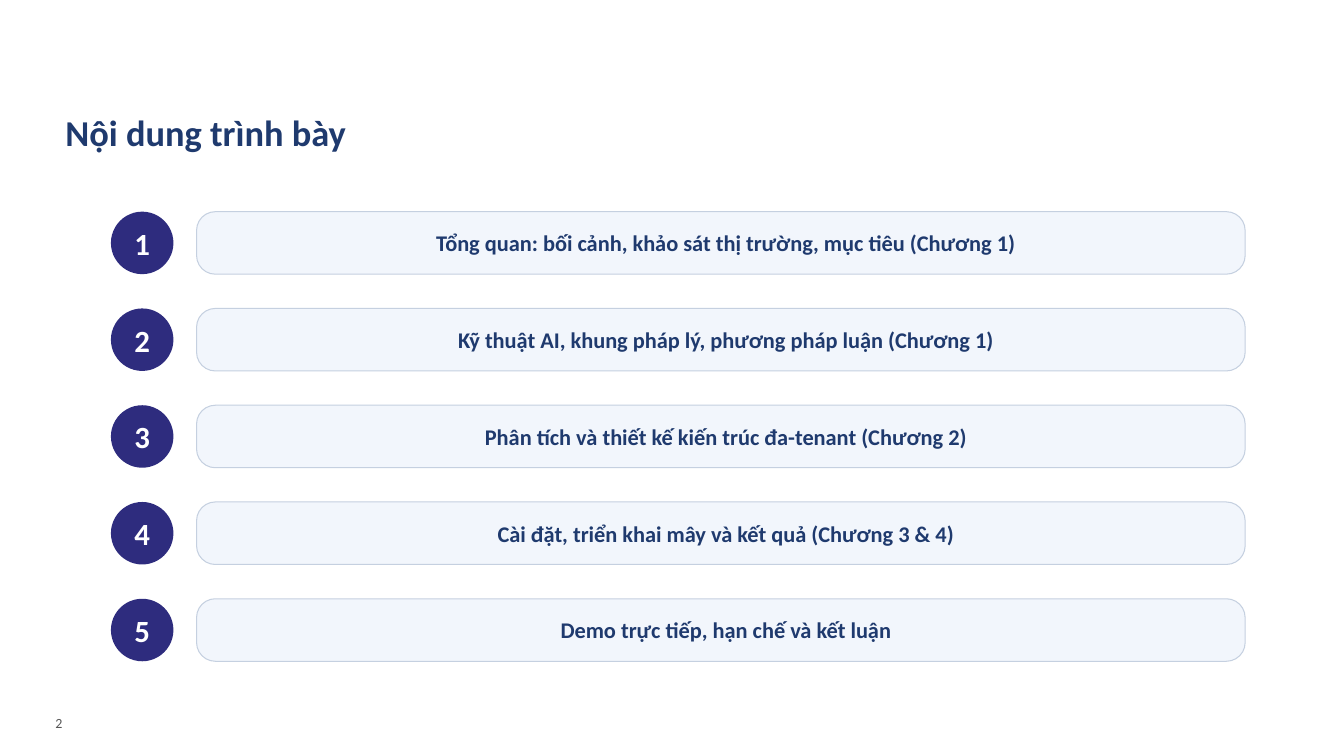
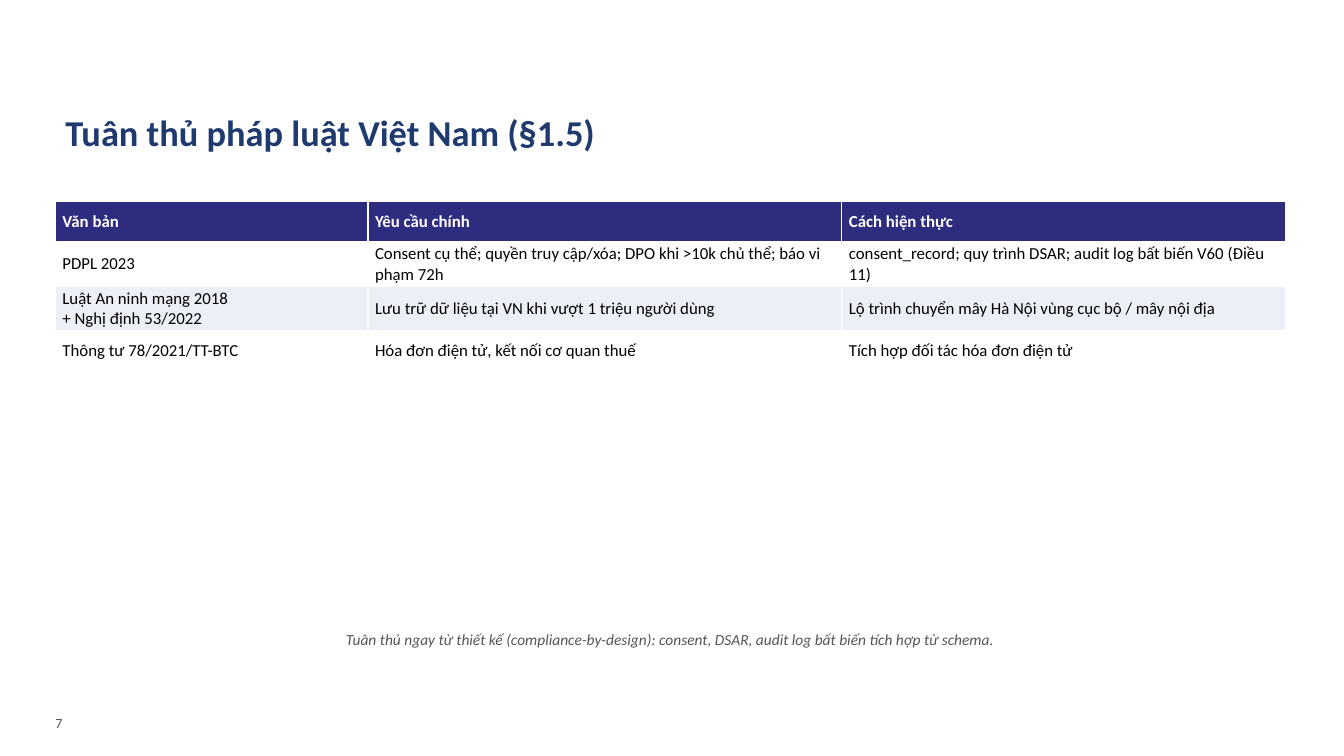
from pptx import Presentation
from pptx.dml.color import RGBColor
from pptx.enum.shapes import MSO_SHAPE
from pptx.enum.text import MSO_ANCHOR, MSO_AUTO_SIZE, PP_ALIGN
from pptx.util import Emu, Pt

EMU_PER_PX = 9144  # 100 px to the inch
FONT = "Calibri"
COLORS = {
    "white": "FFFFFF",
    "black": "000000",
    "navy": "1F3A6E",
    "indigo": "2E2C7E",
    "gray": "555555",
    "panel": "F2F6FC",
    "panel_line": "C5D0E0",
    "band": "ECEFF6",
}


def px(length):
    return Emu(length * EMU_PER_PX)


def color(name):
    return RGBColor.from_string(COLORS[name])


def write_text(frame, text, size, ink, bold=False, italic=False, align=PP_ALIGN.LEFT):
    """Fill a text frame, one paragraph for each line of text."""
    for index, line in enumerate(text.split("\n")):
        paragraph = frame.add_paragraph() if index else frame.paragraphs[0]
        paragraph.alignment = align
        run = paragraph.add_run()
        run.text = line
        run.font.name = FONT
        run.font.size = Pt(size)
        run.font.bold = bold
        run.font.italic = italic
        run.font.color.rgb = color(ink)


class Deck:
    def __init__(self, width, height):
        self.presentation = Presentation()
        self.presentation.slide_width = px(width)
        self.presentation.slide_height = px(height)
        self.slide = None

    def add_slide(self, title, number):
        self.slide = self.presentation.slides.add_slide(self.presentation.slide_layouts[6])
        background = self.slide.background.fill
        background.solid()
        background.fore_color.rgb = color("white")
        self.text_box(title, 55, 104, 1220, 66, wrap=True, size=26, ink="navy", bold=True)
        self.text_box(str(number), 45, 704, 120, 32, size=10, ink="gray")

    def text_box(self, text, left, top, width, height, wrap=False, **style):
        shape = self.slide.shapes.add_textbox(px(left), px(top), px(width), px(height))
        frame = shape.text_frame
        frame.word_wrap = wrap
        frame.auto_size = MSO_AUTO_SIZE.SHAPE_TO_FIT_TEXT
        write_text(frame, text, **style)

    def shape(self, kind, text, left, top, width, height, fill, line=None, **style):
        shape = self.slide.shapes.add_shape(kind, px(left), px(top), px(width), px(height))
        shape.shadow.inherit = False
        shape.fill.solid()
        shape.fill.fore_color.rgb = color(fill)
        if line:
            shape.line.color.rgb = color(line)
            shape.line.width = Pt(0.75)
        else:
            shape.line.fill.background()
        shape.text_frame.vertical_anchor = MSO_ANCHOR.MIDDLE
        write_text(shape.text_frame, text, bold=True, align=PP_ALIGN.CENTER, **style)
        return shape

    def agenda_item(self, number, text, top, height):
        self.shape(MSO_SHAPE.OVAL, str(number), 110, top, height, height,
                   fill="indigo", size=22, ink="white")
        panel = self.shape(MSO_SHAPE.ROUNDED_RECTANGLE, text, 195, top, 1040, height,
                           fill="panel", line="panel_line", size=16, ink="navy")
        panel.adjustments[0] = 0.3
        panel.text_frame.margin_left = px(20)

    def table(self, rows, left, top, column_widths, row_height):
        frame = self.slide.shapes.add_table(
            len(rows), len(column_widths), px(left), px(top),
            px(sum(column_widths)), px(row_height * len(rows)))
        table = frame.table
        for column, width in zip(table.columns, column_widths):
            column.width = px(width)
        for row_index, row in enumerate(rows):
            header = row_index == 0
            body_fill = "white" if row_index % 2 else "band"
            for column_index, text in enumerate(row):
                cell = table.cell(row_index, column_index)
                cell.fill.solid()
                cell.fill.fore_color.rgb = color("indigo" if header else body_fill)
                cell.vertical_anchor = MSO_ANCHOR.MIDDLE
                cell.margin_left = cell.margin_right = px(7)
                cell.margin_top = cell.margin_bottom = px(2)
                write_text(cell.text_frame, text, size=12, bold=header,
                           ink="white" if header else "black")


AGENDA = [
    "Tổng quan: bối cảnh, khảo sát thị trường, mục tiêu (Chương 1)",
    "Kỹ thuật AI, khung pháp lý, phương pháp luận (Chương 1)",
    "Phân tích và thiết kế kiến trúc đa-tenant (Chương 2)",
    "Cài đặt, triển khai mây và kết quả (Chương 3 & 4)",
    "Demo trực tiếp, hạn chế và kết luận",
]

REGULATIONS = [
    ("Văn bản", "Yêu cầu chính", "Cách hiện thực"),
    ("PDPL 2023",
     "Consent cụ thể; quyền truy cập/xóa; DPO khi >10k chủ thể; báo vi phạm 72h",
     "consent_record; quy trình DSAR; audit log bất biến V60 (Điều 11)"),
    ("Luật An ninh mạng 2018\n+ Nghị định 53/2022",
     "Lưu trữ dữ liệu tại VN khi vượt 1 triệu người dùng",
     "Lộ trình chuyển mây Hà Nội vùng cục bộ / mây nội địa"),
    ("Thông tư 78/2021/TT-BTC",
     "Hóa đơn điện tử, kết nối cơ quan thuế",
     "Tích hợp đối tác hóa đơn điện tử"),
]


def main():
    deck = Deck(1333, 750)

    # Agenda
    deck.add_slide("Nội dung trình bày", 2)
    for index, text in enumerate(AGENDA):
        deck.agenda_item(index + 1, text, top=210 + 96 * index, height=62)

    # Legal compliance
    deck.add_slide("Tuân thủ pháp luật Việt Nam (§1.5)", 7)
    deck.table(REGULATIONS, 55, 200, column_widths=(310, 470, 440), row_height=40)
    deck.text_box(
        "Tuân thủ ngay từ thiết kế (compliance-by-design): consent, DSAR, "
        "audit log bất biến tích hợp từ schema.",
        60, 620, 1210, 50, size=11, ink="gray", italic=True, align=PP_ALIGN.CENTER)

    deck.presentation.save("out.pptx")


if __name__ == "__main__":
    main()
